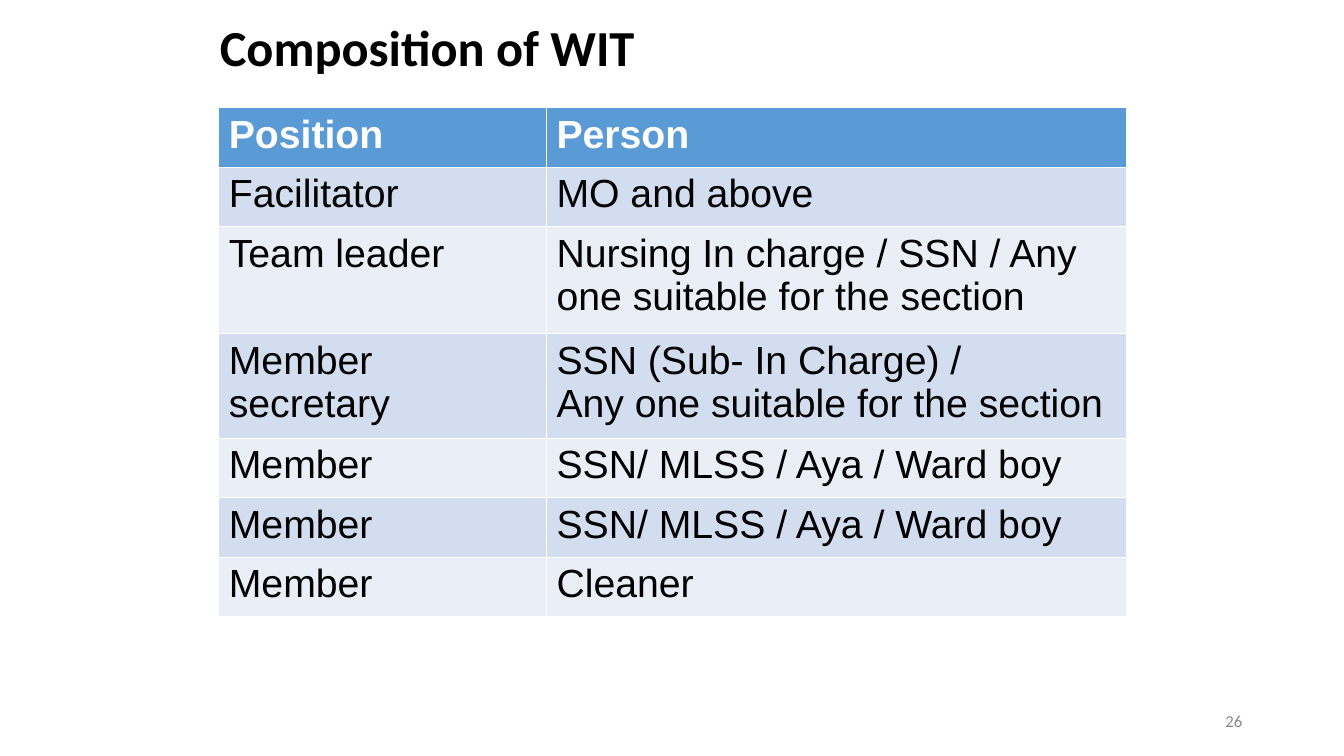
"""Build the slide that lists the composition of the WIT."""
from pptx import Presentation
from pptx.dml.color import RGBColor
from pptx.enum import text
from pptx.util import Inches, Pt

BLACK = RGBColor(0x00, 0x00, 0x00)
WHITE = RGBColor(0xFF, 0xFF, 0xFF)
GREY = RGBColor(0x89, 0x89, 0x89)
HEADER_BLUE = RGBColor(0x5B, 0x9B, 0xD5)
BAND_COLORS = [RGBColor(0xEA, 0xEF, 0xF7), RGBColor(0xD2, 0xDE, 0xEF)]


def write(frame, content, font="Arial", size=28, color=BLACK, bold=False,
          align=text.PP_ALIGN.LEFT, spacing=1.0):
    frame.word_wrap = True
    frame.text = content
    for paragraph in frame.paragraphs:
        paragraph.alignment = align
        paragraph.line_spacing = spacing
        paragraph.font.name = font
        paragraph.font.size = Pt(size)
        paragraph.font.bold = bold
        paragraph.font.color.rgb = color


presentation = Presentation()
presentation.slide_width = Inches(13.33)
presentation.slide_height = Inches(7.5)
slide = presentation.slides.add_slide(presentation.slide_layouts[5])

title = slide.shapes.title
title.left, title.top = Inches(2.08), Inches(0.12)
title.width, title.height = Inches(9), Inches(0.75)
title.text_frame.vertical_anchor = text.MSO_ANCHOR.MIDDLE
write(title.text_frame, "Composition of WIT", font="Calibri", size=36, bold=True, spacing=0.9)

number_box = slide.shapes.add_textbox(Inches(9.42), Inches(6.95), Inches(3), Inches(0.4))
number_box.text_frame.vertical_anchor = text.MSO_ANCHOR.MIDDLE
write(number_box.text_frame, "26", font="Calibri", size=12, color=GREY,
      align=text.PP_ALIGN.RIGHT)

members = [
    ("Position", "Person", 0.59),
    ("Facilitator", "MO and above", 0.59),
    ("Team leader", "Nursing In charge / SSN / Any one suitable for the section", 1.06),
    ("Member secretary", "SSN (Sub- In Charge) /\nAny one suitable for the section", 1.04),
    ("Member", "SSN/ MLSS / Aya / Ward boy", 0.59),
    ("Member", "SSN/ MLSS / Aya / Ward boy", 0.59),
    ("Member", "Cleaner", 0.59),
]
table = slide.shapes.add_table(len(members), 2, Inches(2.17), Inches(1.07),
                               Inches(9), Inches(5.05)).table
table.columns[0].width = Inches(3.25)
table.columns[1].width = Inches(5.75)

for row, (position, person, height) in enumerate(members):
    table.rows[row].height = Inches(height)
    is_header = row == 0
    for column, content in enumerate((position, person)):
        cell = table.cell(row, column)
        cell.fill.solid()
        cell.fill.fore_color.rgb = HEADER_BLUE if is_header else BAND_COLORS[row % 2]
        write(cell.text_frame, content, color=WHITE if is_header else BLACK, bold=is_header)

presentation.save("out.pptx")
